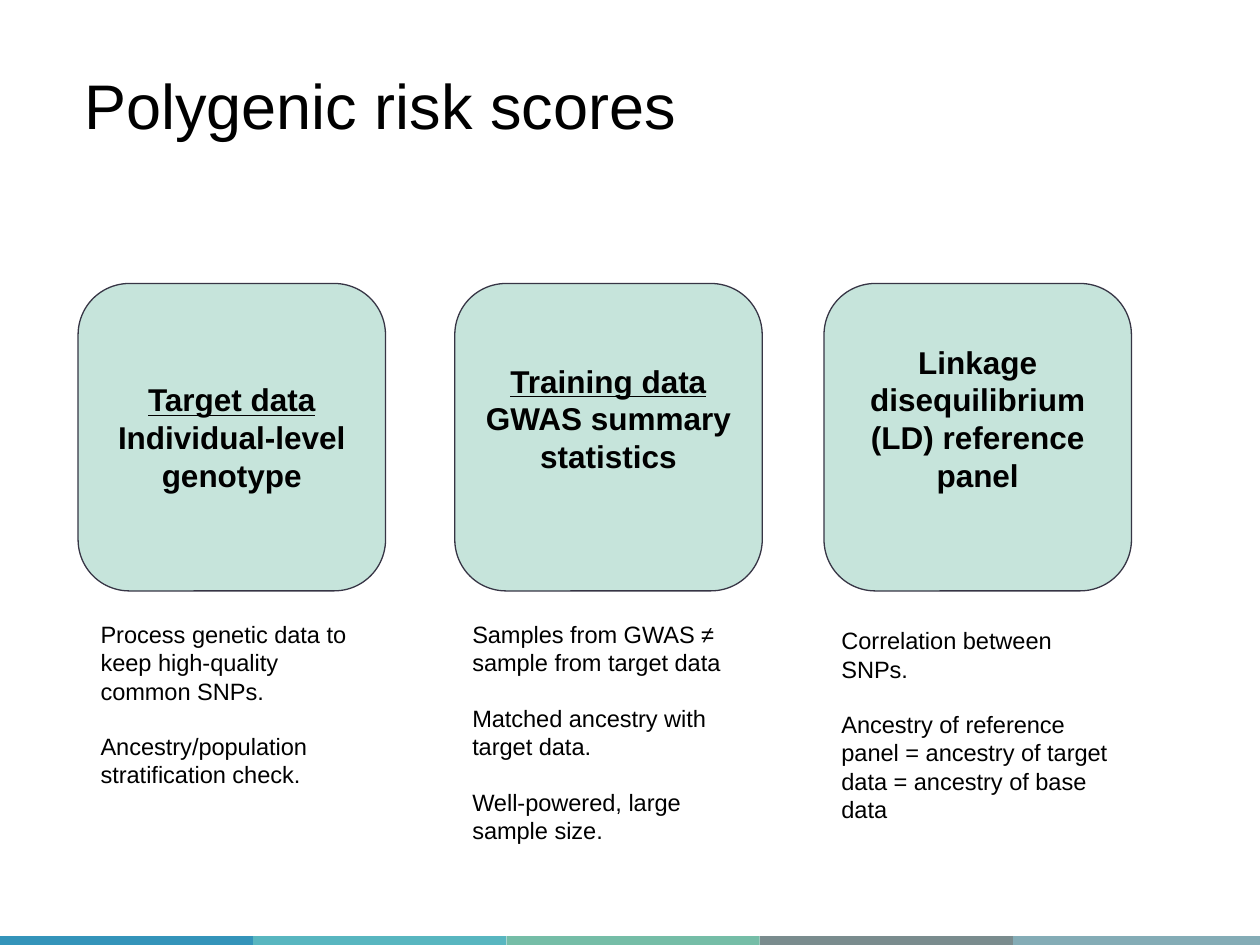
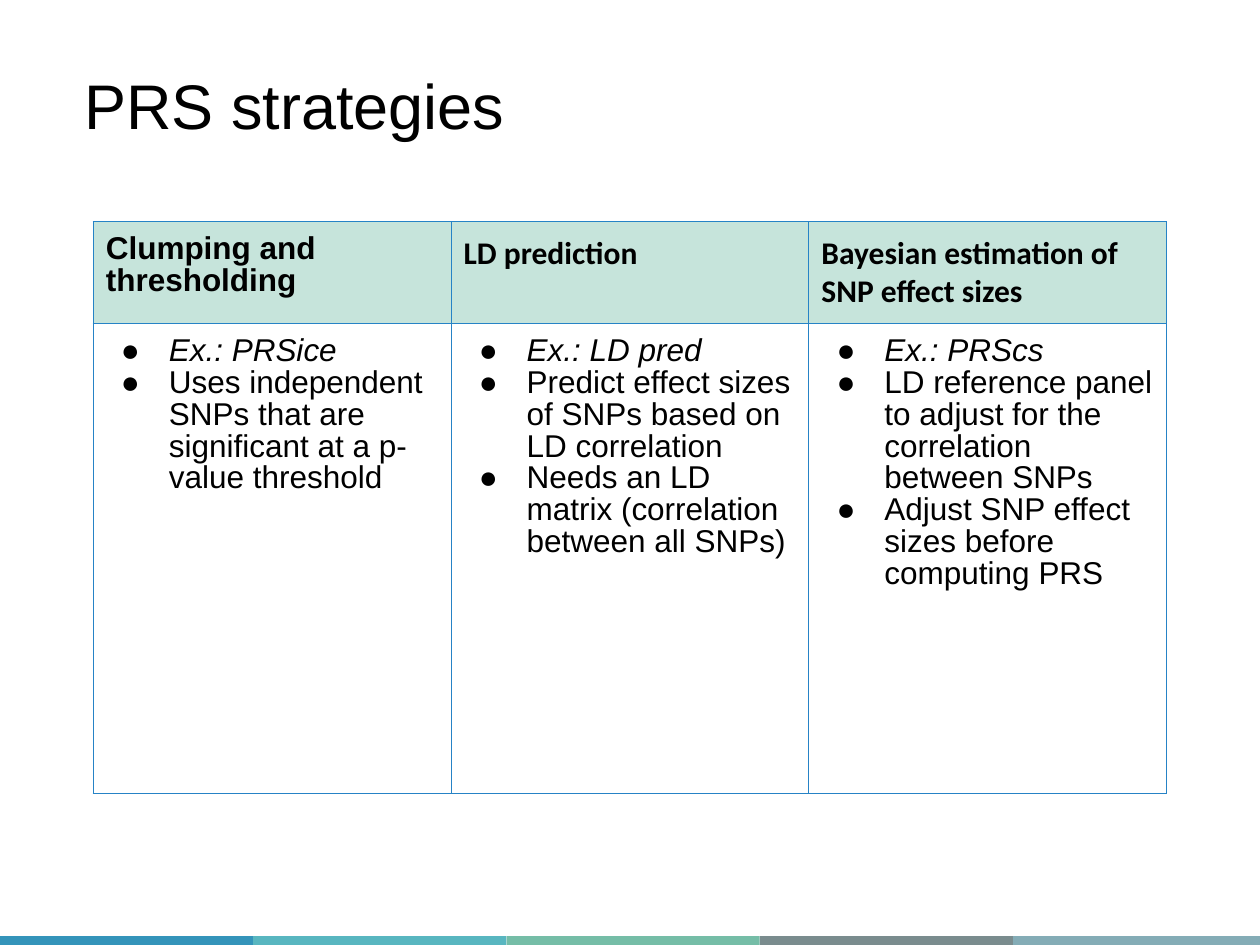
from dataclasses import dataclass

from lxml.etree import SubElement
from pptx import Presentation
from pptx.dml.color import RGBColor
from pptx.enum.shapes import MSO_SHAPE as SHAPE
from pptx.enum.text import MSO_ANCHOR as ANCHOR, MSO_AUTO_SIZE as AUTO, PP_ALIGN as ALIGN
from pptx.oxml.ns import qn
from pptx.util import Inches, Pt

COLORS = {
    "text": "000000",
    "panel": "C6E4DB",
    "panel_line": "373545",
    "border": "2683C6",
    "background": "FFFFFF",
}
BAND_COLORS = ("3494BA", "58B6C0", "75BDA7", "7A8C8E", "84ACB6")
BAND_WIDTH = 2.01
CARD_SIZE = 2.44
CARD_TOP = 2.25
NOTE_WIDTH, NOTE_HEIGHT = 2.36, 1.96
COLUMN_WIDTH = 2.84
ROW_HEIGHTS = (0.81, 3.73)
TITLE_ONLY = 5


@dataclass
class Card:
    left: float
    heading: str
    body: str
    note_left: float
    note_top: float
    notes: tuple[str, ...]
    bottom_inset: float = 0.4


@dataclass
class Strategy:
    name: str
    example: str
    points: tuple[str, ...]
    font: str = "Calibri"
    spacing: float = 1.0


CARDS = (
    Card(0.62, "Target data", "Individual-level genotype", 0.7, 4.82,
         ("Process genetic data to keep high-quality common SNPs.",
          "Ancestry/population stratification check."), bottom_inset=0.1),
    Card(3.61, "Training data", "GWAS summary statistics", 3.65, 4.82,
         ("Samples from GWAS ≠ sample from target data",
          "Matched ancestry with target data.",
          "Well-powered, large sample size.")),
    Card(6.54, "", "Linkage disequilibrium (LD) reference panel", 6.58, 4.87,
         ("Correlation between SNPs.",
          "Ancestry of reference panel = ancestry of target data = ancestry of base data")),
)

STRATEGIES = (
    Strategy("Clumping and thresholding", "Ex.: PRSice",
             ("Uses independent SNPs that are significant at a p-value threshold",),
             font="Arial", spacing=0.9),
    Strategy("LD prediction", "Ex.: LD pred",
             ("Predict effect sizes of SNPs based on LD correlation",
              "Needs an LD matrix (correlation between all SNPs)")),
    Strategy("Bayesian estimation of SNP effect sizes", "Ex.: PRScs",
             ("LD reference panel to adjust for the correlation between SNPs",
              "Adjust SNP effect sizes before computing PRS")),
)


def rgb(name: str) -> RGBColor:
    return RGBColor.from_string(COLORS[name])


def write(tf, text: str, *, size: float = 18, font: str = "Arial", bold: bool = False,
          italic: bool = False, underline: bool = False, align=ALIGN.LEFT,
          spacing: float = 1.0, gap: float = 0, bullet: bool = False) -> None:
    first = not tf.paragraphs[0].runs
    p = tf.paragraphs[0] if first else tf.add_paragraph()
    p.alignment = align
    p.line_spacing = spacing
    p.space_before = Pt(0 if first else gap)
    if bullet:
        add_bullet(p)
    r = p.add_run()
    r.text = text
    r.font.name, r.font.size = font, Pt(size)
    r.font.bold, r.font.italic, r.font.underline = bold, italic, underline
    r.font.color.rgb = rgb("text")


def add_bullet(p) -> None:
    pPr = p._p.get_or_add_pPr()
    pPr.set("marL", str(Inches(0.5)))
    pPr.set("indent", str(Inches(-0.38)))
    color = SubElement(pPr, qn("a:buClr"))
    SubElement(color, qn("a:srgbClr"), val=COLORS["text"])
    SubElement(pPr, qn("a:buFont"), typeface="Arial")
    SubElement(pPr, qn("a:buChar"), char="●")


def set_insets(tf, bottom: float = 0.1) -> None:
    tf.word_wrap = True
    tf.margin_left = tf.margin_right = tf.margin_top = Inches(0.1)
    tf.margin_bottom = Inches(bottom)


def add_titled_slide(prs, title: str):
    slide = prs.slides.add_slide(prs.slide_layouts[TITLE_ONLY])
    sp = slide.shapes.title
    sp.left, sp.top, sp.width, sp.height = map(Inches, (0.57, 0.26, 8.74, 1.22))
    tf = sp.text_frame
    tf.auto_size = AUTO.NONE
    tf.vertical_anchor = ANCHOR.MIDDLE
    write(tf, title, size=36, spacing=0.9)
    for i, color in enumerate(BAND_COLORS):
        band = slide.shapes.add_shape(SHAPE.RECTANGLE, Inches(i * BAND_WIDTH), Inches(7.43),
                                      Inches(BAND_WIDTH), Inches(0.1))
        band.shadow.inherit = False
        band.fill.solid()
        band.fill.fore_color.rgb = RGBColor.from_string(color)
        band.line.fill.background()
    return slide


def add_card(slide, card: Card) -> None:
    sp = slide.shapes.add_shape(SHAPE.ROUNDED_RECTANGLE, Inches(card.left), Inches(CARD_TOP),
                                Inches(CARD_SIZE), Inches(CARD_SIZE))
    sp.shadow.inherit = False
    sp.fill.solid()
    sp.fill.fore_color.rgb = rgb("panel")
    sp.line.color.rgb = rgb("panel_line")
    sp.line.width = Pt(0.75)
    tf = sp.text_frame
    set_insets(tf, card.bottom_inset)
    tf.vertical_anchor = ANCHOR.MIDDLE
    if card.heading:
        write(tf, card.heading, bold=True, underline=True, align=ALIGN.CENTER)
    write(tf, card.body, bold=True, align=ALIGN.CENTER)

    box = slide.shapes.add_textbox(Inches(card.note_left), Inches(card.note_top),
                                   Inches(NOTE_WIDTH), Inches(NOTE_HEIGHT))
    set_insets(box.text_frame)
    for note in card.notes:
        write(box.text_frame, note, size=13.5, gap=15.5)


def style_cell(cell, fill: str) -> None:
    cell.margin_left = cell.margin_right = Inches(0.1)
    cell.margin_top = cell.margin_bottom = Inches(0.1)
    tcPr = cell._tc.get_or_add_tcPr()
    for side in ("lnL", "lnR", "lnT", "lnB"):
        ln = SubElement(tcPr, qn(f"a:{side}"), w=str(Pt(0.75)))
        SubElement(SubElement(ln, qn("a:solidFill")), qn("a:srgbClr"), val=COLORS["border"])
    cell.fill.solid()
    cell.fill.fore_color.rgb = rgb(fill)


def add_strategy_table(slide, strategies: tuple[Strategy, ...]) -> None:
    table = slide.shapes.add_table(
        len(ROW_HEIGHTS), len(strategies), Inches(0.74), Inches(1.76),
        Inches(COLUMN_WIDTH * len(strategies)), Inches(sum(ROW_HEIGHTS))).table
    for row, height in zip(table.rows, ROW_HEIGHTS):
        row.height = Inches(height)
    for i, strategy in enumerate(strategies):
        table.columns[i].width = Inches(COLUMN_WIDTH)
        header, body = table.cell(0, i), table.cell(1, i)
        style_cell(header, "panel")
        style_cell(body, "background")
        write(header.text_frame, strategy.name, font=strategy.font, bold=True,
              spacing=strategy.spacing)
        write(body.text_frame, strategy.example, italic=True, spacing=0.9, bullet=True)
        for point in strategy.points:
            write(body.text_frame, point, spacing=0.9, bullet=True)


def main() -> None:
    prs = Presentation()
    prs.slide_width, prs.slide_height = Inches(10), Inches(7.5)
    scores = add_titled_slide(prs, "Polygenic risk scores")
    for card in CARDS:
        add_card(scores, card)
    add_strategy_table(add_titled_slide(prs, "PRS strategies"), STRATEGIES)
    prs.save("out.pptx")


if __name__ == "__main__":
    main()
